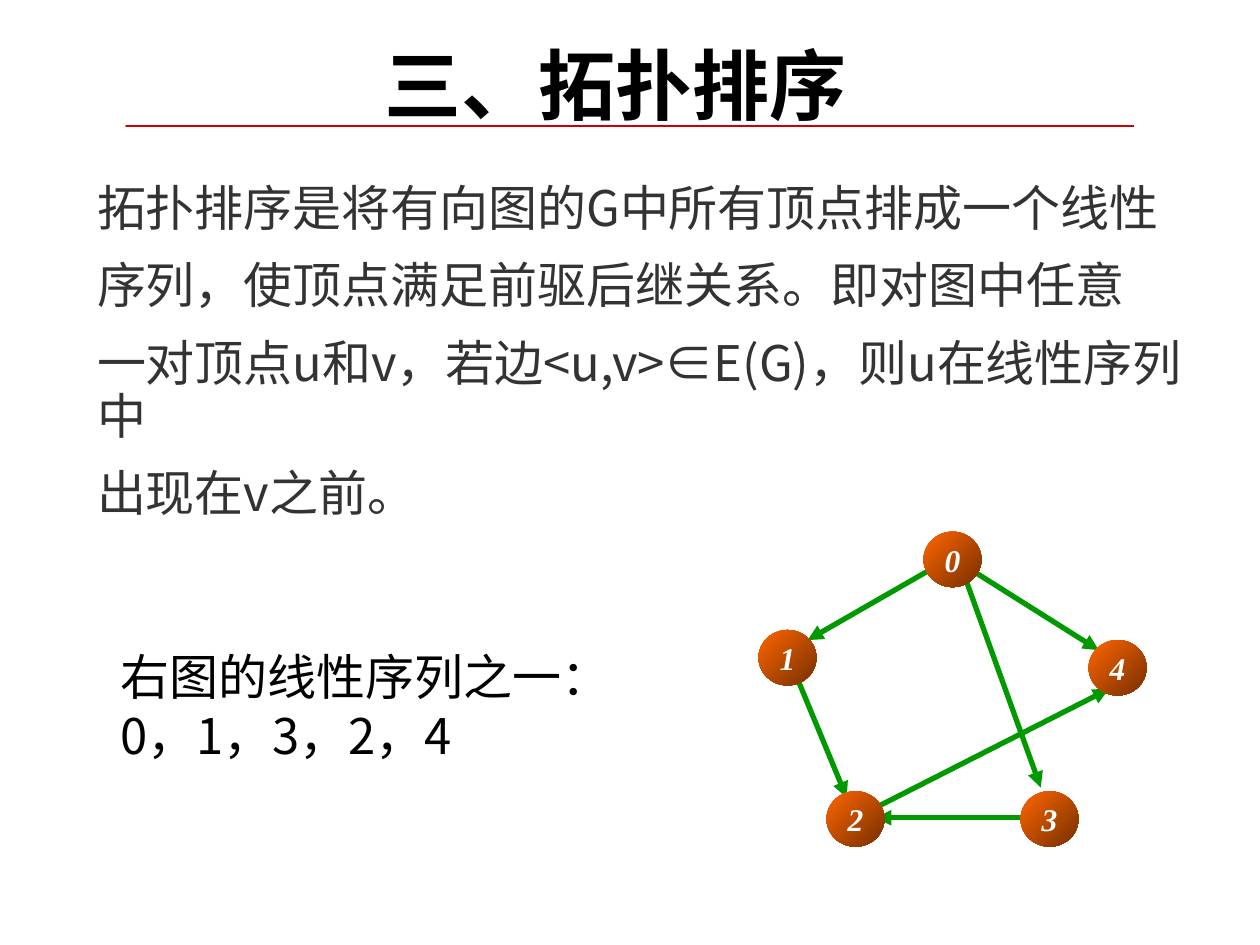
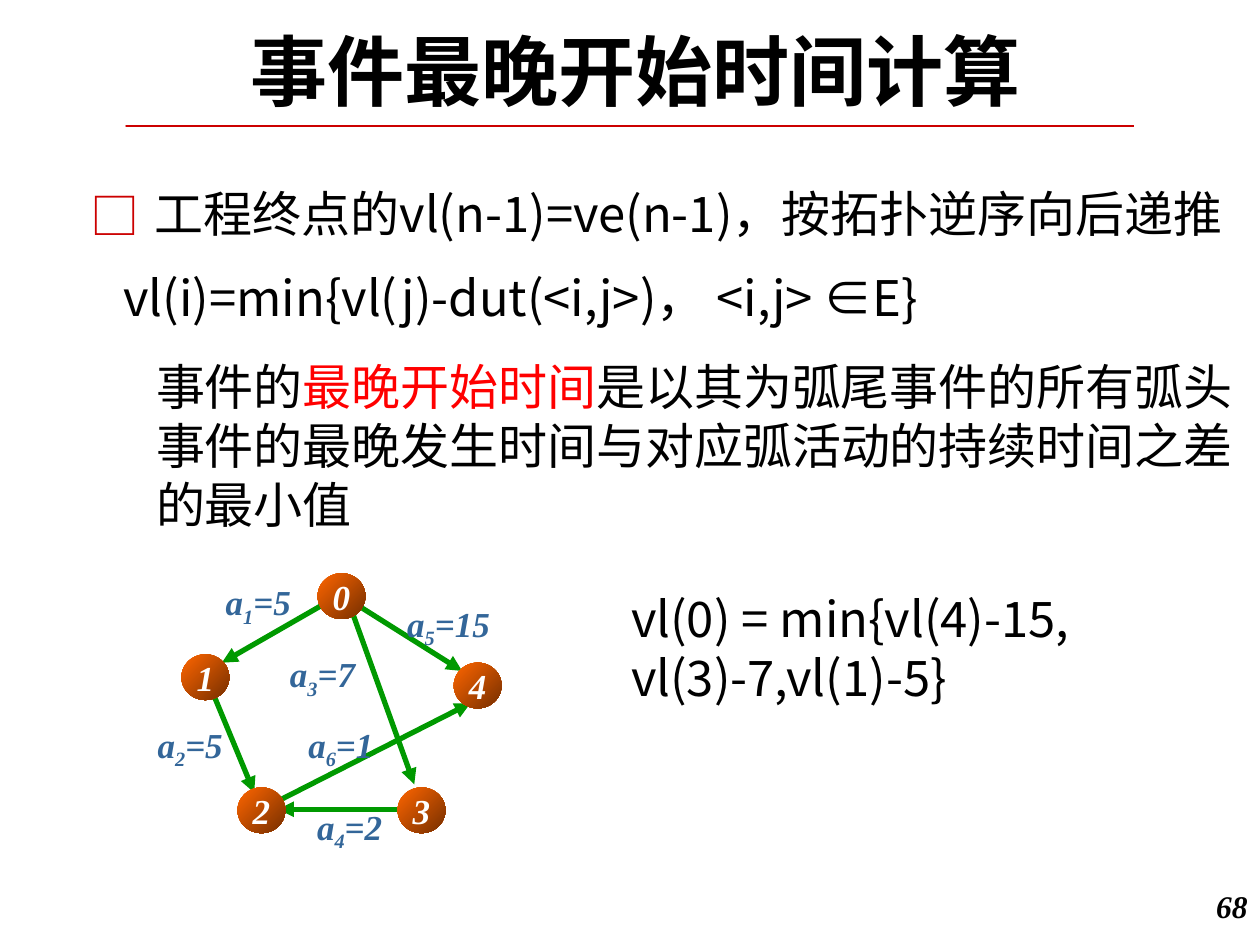
"""Build two lecture slides on topological sorting and latest event times."""
from dataclasses import dataclass

from lxml import etree
from pptx import Presentation
from pptx.dml.color import RGBColor
from pptx.enum.shapes import MSO_CONNECTOR, MSO_SHAPE
from pptx.enum.text import MSO_ANCHOR, MSO_AUTO_SIZE, PP_ALIGN
from pptx.oxml.ns import qn
from pptx.util import Inches, Pt


@dataclass(frozen=True)
class Theme:
    black: str = "000000"
    body: str = "333333"
    white: str = "FFFFFF"
    red: str = "CC0000"
    accent: str = "FF0000"
    edge: str = "009900"
    label: str = "336699"
    node_light: str = "FF6600"
    node_dark: str = "762F00"
    title_font: str = "Cabin"
    text_font: str = "Noto Sans CJK SC"
    number_font: str = "Times New Roman"
    title_size: int = 44
    text_size: int = 28
    label_size: int = 20
    small_size: int = 18


T = Theme()


def write(tf, text, size=T.text_size, font=T.text_font, color=T.black, bold=False, italic=False,
          align=PP_ALIGN.LEFT, before=0, spacing=None, left=0, hanging=0, bullet=None):
    """Add a paragraph; text is a string or a list of (text, colour, baseline) runs."""
    p = tf.add_paragraph() if tf.text else tf.paragraphs[0]
    p.alignment, p.space_before, p.line_spacing = align, Pt(before), spacing
    pPr = p._p.get_or_add_pPr()
    pPr.set("marL", str(Inches(left)))
    pPr.set("indent", str(-Inches(hanging)))
    if bullet:
        clr = etree.SubElement(pPr, qn("a:buClr"))
        etree.SubElement(clr, qn("a:srgbClr"), val=T.red)
        etree.SubElement(pPr, qn("a:buFont"), typeface=font)
        etree.SubElement(pPr, qn("a:buChar"), char=bullet)
    else:
        etree.SubElement(pPr, qn("a:buNone"))
    for part, run_color, baseline in [(text, color, 0)] if isinstance(text, str) else text:
        r = p.add_run()
        r.text = part
        r.font.name, r.font.size = font, Pt(size)
        r.font.bold, r.font.italic = bold, italic
        r.font.color.rgb = RGBColor.from_string(run_color)
        if baseline:
            r._r.get_or_add_rPr().set("baseline", str(baseline * 1000))


def place(sp, left, top, width, height):
    """Position a text shape and return its wrapping, top-anchored frame."""
    sp.left, sp.top, sp.width, sp.height = map(Inches, (left, top, width, height))
    tf = sp.text_frame
    tf.word_wrap, tf.auto_size = True, MSO_AUTO_SIZE.NONE
    tf.vertical_anchor = MSO_ANCHOR.TOP
    return tf


TITLE = dict(size=T.title_size, font=T.title_font, bold=True, align=PP_ALIGN.CENTER)
NUMBER = dict(font=T.number_font, bold=True, italic=True)
NODES = {"1": (0, 0.78), "3": (2.08, 2.06), "2": (0.54, 2.06), "4": (2.62, 0.86), "0": (1.31, 0)}
EDGES = [
    (1.7, 0.31, 2.7, 0.94),
    (0.31, 1.17, 0.7, 2.11),
    (1.47, 0.24, 0.39, 0.86),
    (1.62, 0.31, 2.24, 2.03),
    (2.08, 2.27, 0.93, 2.27),
    (0.93, 2.19, 2.78, 1.25),
]
LABELS = [
    ("1", "=5", 1.6, 4.56, 0.9),
    ("2", "=5", 1.11, 5.69, 0.8),
    ("5", "=15", 3.1, 4.73, 0.92),
    ("6", "=1", 2.26, 5.69, 0.89),
    ("3", "=7", 2.09, 5.13, 0.94),
    ("4", "=2", 2.34, 6.34, 0.87),
]

prs = Presentation()
prs.slide_width, prs.slide_height = Inches(10), Inches(7.5)
layout = prs.slide_layouts[1]
sort_slide, time_slide = [prs.slides.add_slide(layout) for _ in range(2)]

builder = sort_slide.shapes.build_freeform(0.67, 1.23, scale=Inches(1))
builder.add_line_segments([(5.76, 1.23), (5.76, 1.35), (0.67, 1.35)], close=True)
builder.move_to(0.67, 1.23).add_line_segments([(9.37, 1.23)], close=False)
band = builder.convert_to_shape()
band.shadow.inherit = False
band.fill.solid()
band.fill.fore_color.rgb = band.line.color.rgb = RGBColor.from_string(T.red)
band.line.width = Pt(0.75)
layout.shapes.element.append(band.element)

write(place(sort_slide.shapes.title, 0.26, 0.25, 9.25, 0.84), "三、拓扑排序", **TITLE)
tf = place(sort_slide.placeholders[1], 0.67, 1.41, 9.19, 4.42)
for i, line in enumerate([
    "拓扑排序是将有向图的G中所有顶点排成一个线性",
    "序列，使顶点满足前驱后继关系。即对图中任意",
    "一对顶点u和v，若边<u,v>∈E(G)，则u在线性序列中",
    "出现在v之前。",
]):
    write(tf, line, color=T.body, spacing=0.9, before=14 if i else 0)

write(place(time_slide.shapes.title, 0.42, 0.14, 9.25, 0.84), "事件最晚开始时间计算", **TITLE)
tf = place(time_slide.placeholders[1], 0.62, 1.41, 9.58, 1.39)
write(tf, "工程终点的vl(n-1)=ve(n-1)，按拓扑逆序向后递推", left=0.51, hanging=0.51, bullet="□")
write(tf, "vl(i)=min{vl(j)-dut(<i,j>)， <i,j> ∈E}", left=0.26, before=14)

for slide, at, text in [
    (sort_slide, (0.86, 5.08, 4.24, 1.04), "右图的线性序列之一：0，1，3，2，4"),
    (time_slide, (1.14, 2.78, 8.74, 1.51), [
        ("事件的", T.black, 0),
        ("最晚开始时间", T.accent, 0),
        ("是以其为弧尾事件的所有弧头事件的最晚发生时间与对应弧活动的持续时间之差的最小值", T.black, 0),
    ]),
    (time_slide, (4.91, 4.62, 4.39, 1.04), "vl(0) = min{vl(4)-15, vl(3)-7,vl(1)-5}"),
]:
    write(place(slide.shapes.add_textbox(0, 0, 0, 0), *at), text)

for slide, x0, y0, scale, size in [
    (sort_slide, 6.02, 4.22, 1, T.small_size),
    (time_slide, 1.44, 4.55, 0.825, T.label_size),
]:
    graph = slide.shapes.add_group_shape().shapes
    for x1, y1, x2, y2 in EDGES:
        edge = graph.add_connector(
            MSO_CONNECTOR.STRAIGHT,
            Inches(x0 + x1 * scale), Inches(y0 + y1 * scale),
            Inches(x0 + x2 * scale), Inches(y0 + y2 * scale))
        edge.line.color.rgb = RGBColor.from_string(T.edge)
        edge.line.width = Pt(3)
        etree.SubElement(edge.line._get_or_add_ln(), qn("a:tailEnd"), type="triangle")
        etree.SubElement(edge._element.spPr, qn("a:effectLst"))
    for name, (x, y) in NODES.items():
        node = graph.add_shape(
            MSO_SHAPE.OVAL, Inches(x0 + x * scale), Inches(y0 + y * scale),
            Inches(0.46 * scale), Inches(0.44 * scale))
        node.shadow.inherit = False
        node.line.fill.background()
        node.fill.gradient()
        node.fill.gradient_angle = 315
        for stop, color in zip(node.fill.gradient_stops, (T.node_light, T.node_dark)):
            stop.color.rgb = RGBColor.from_string(color)
            stop.position = 0 if color == T.node_light else 1
        tf = node.text_frame
        tf.margin_left = tf.margin_right = 0
        tf.word_wrap, tf.vertical_anchor = False, MSO_ANCHOR.MIDDLE
        write(tf, name, size=size, color=T.white, align=PP_ALIGN.CENTER, **NUMBER)

for index, value, x, y, width in LABELS:
    tf = place(time_slide.shapes.add_textbox(0, 0, 0, 0), x, y, width, 0.43)
    runs = [("a", T.label, 0), (index, T.label, -25), (value, T.label, 0)]
    write(tf, runs, size=T.label_size, align=PP_ALIGN.CENTER, **NUMBER)

tf = place(time_slide.shapes.add_textbox(0, 0, 0, 0), 9.33, 6.99, 0.67, 0.4)
write(tf, "68", size=T.small_size, align=PP_ALIGN.RIGHT, **NUMBER)

prs.save("out.pptx")
